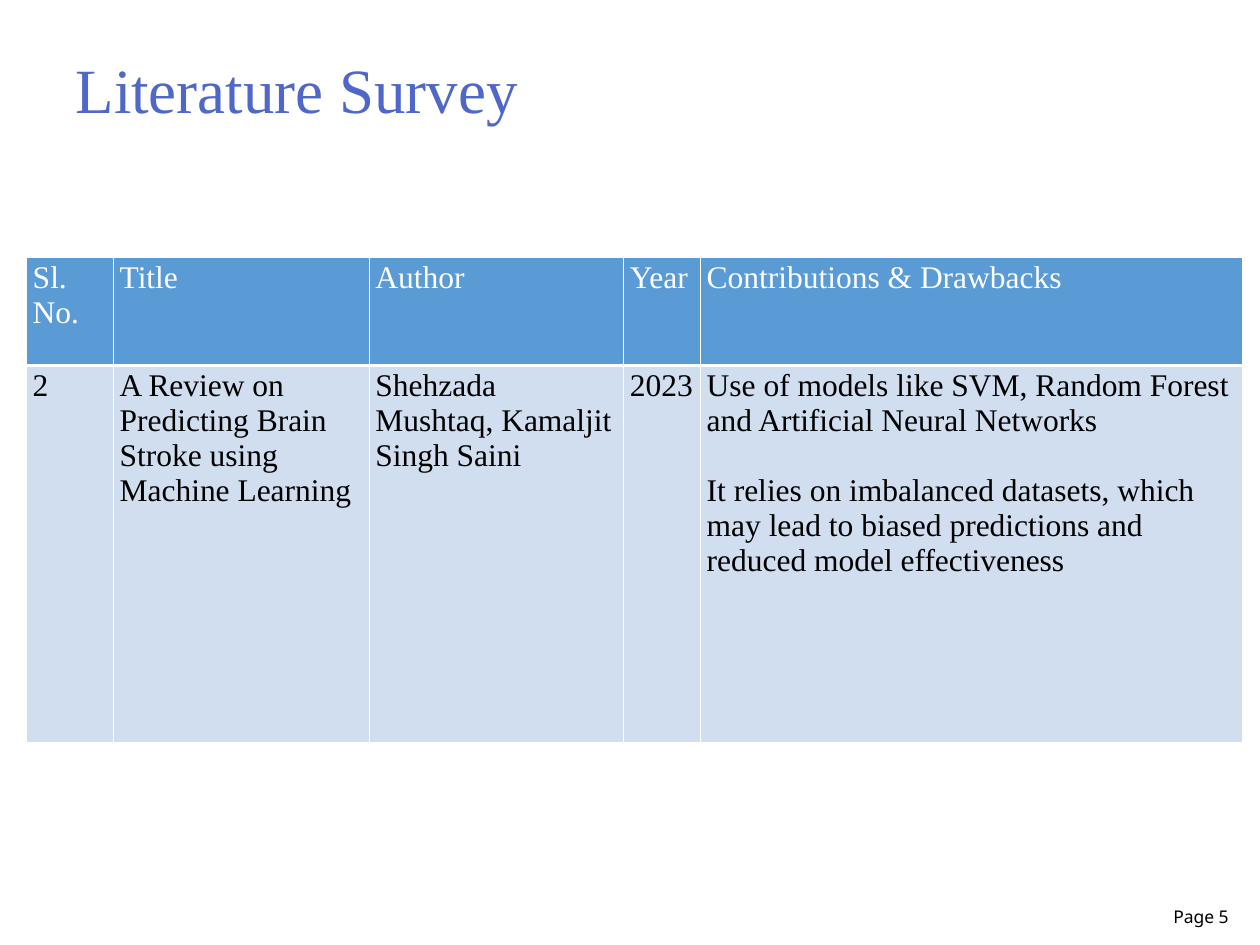
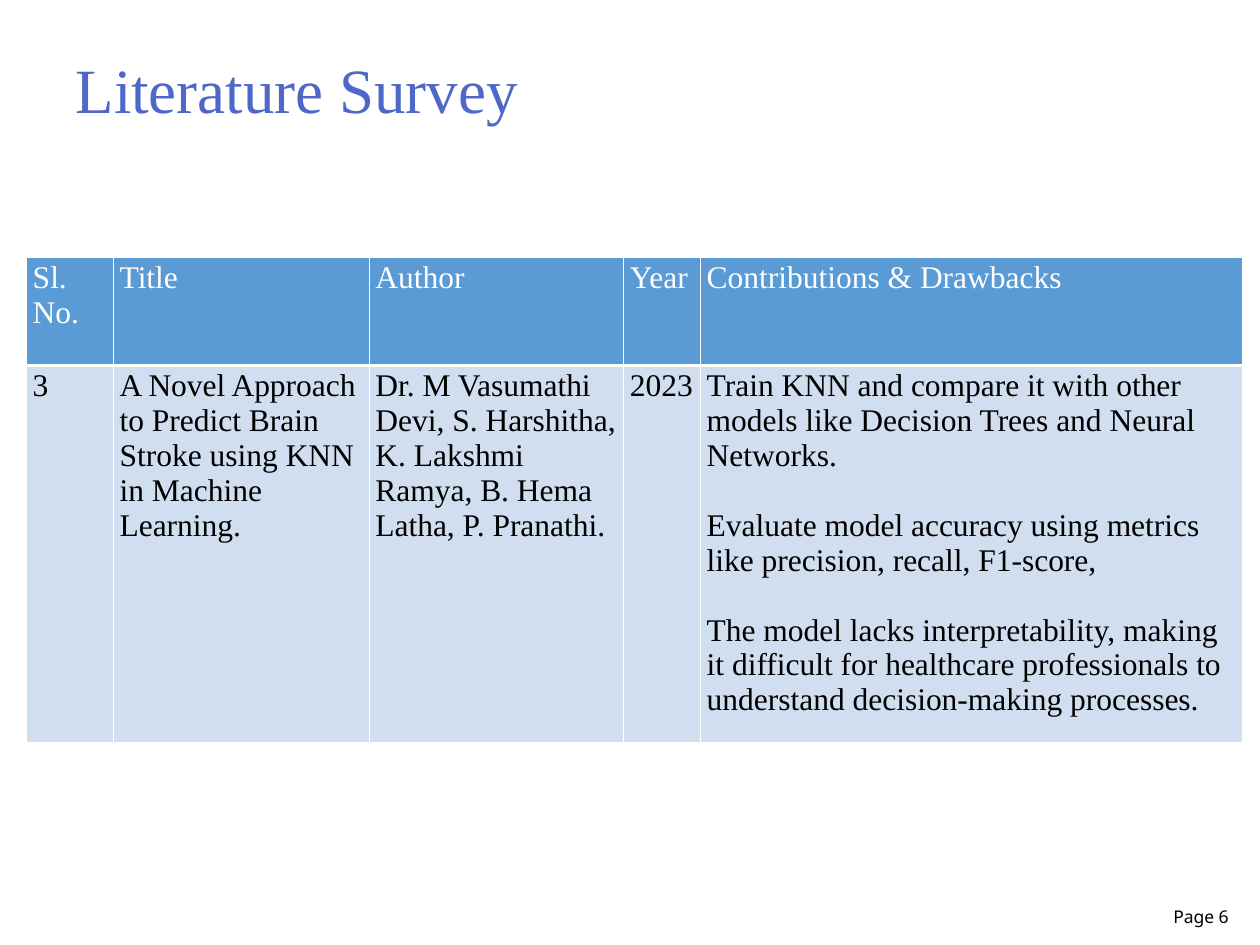
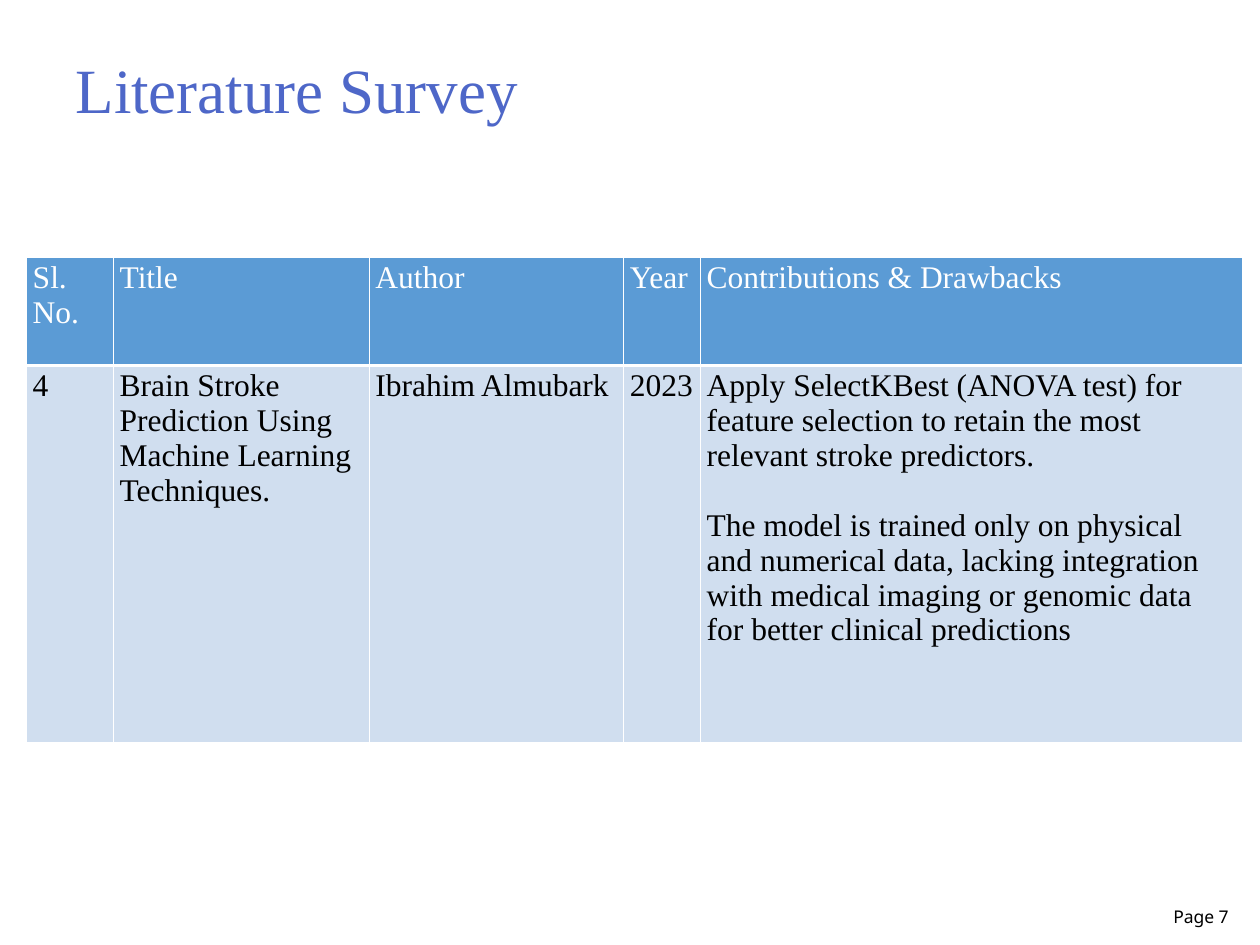
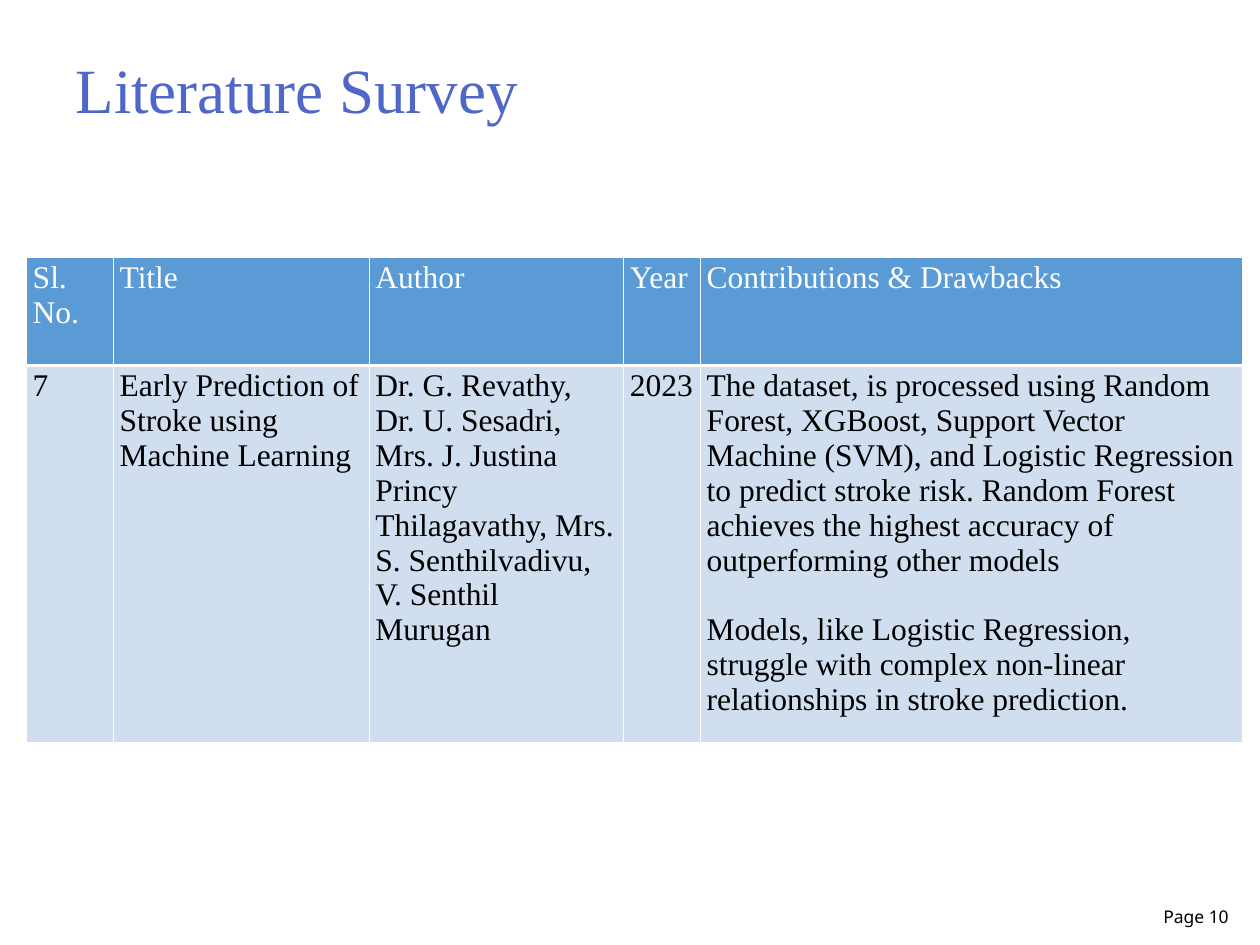
from pptx import Presentation
from pptx.dml.color import RGBColor
from pptx.enum.text import MSO_ANCHOR as ANCHOR, PP_ALIGN as ALIGN
from pptx.oxml.ns import qn
from pptx.util import Pt
from lxml.etree import SubElement

TITLE_BLUE = RGBColor(0x4E, 0x67, 0xC8)
HEADER_BLUE = RGBColor(0x5B, 0x9B, 0xD5)
ROW_BLUE = RGBColor(0xD0, 0xDE, 0xEF)
WHITE = RGBColor(0xFF, 0xFF, 0xFF)
BLACK = RGBColor(0x00, 0x00, 0x00)
SERIF = "Times New Roman"
SANS = "Noto Sans"

TITLE_BOX = (0, 16.56, 541.44, 67.68)
TABLE_BOX = (15.12, 146.88, 694.8, 277.2)
PAGE_BOX = (654.48, 504.72, 54.72, 28.8)

COL_WIDTHS = (49.68, 146.16, 145.44, 43.92, 309.6)
ROW_HEIGHTS = (61.92, 215.28)
THIN, THICK = 0.75, 2
PARA_GAP = 20
HEADERS = ("Sl. No.", "Title", "Author", "Year", "Contributions & Drawbacks")

SURVEYS = (
    (5, "2", "A Review on Predicting Brain Stroke using Machine Learning",
     "Shehzada Mushtaq, Kamaljit Singh Saini", "2023",
     ("Use of models like SVM, Random Forest and Artificial Neural Networks",
      "It relies on imbalanced datasets, which may lead to biased predictions "
      "and reduced model effectiveness")),
    (6, "3", "A Novel Approach to Predict Brain Stroke using KNN in Machine Learning.",
     "Dr. M Vasumathi Devi, S. Harshitha, K. Lakshmi Ramya, B. Hema Latha, P. Pranathi.",
     "2023",
     ("Train KNN and compare it with other models like Decision Trees and Neural Networks.",
      "Evaluate model accuracy using metrics like precision, recall, F1-score,",
      "The model lacks interpretability, making it difficult for healthcare "
      "professionals to understand decision-making processes.")),
    (7, "4", "Brain Stroke Prediction Using Machine Learning Techniques.",
     "Ibrahim Almubark", "2023",
     ("Apply SelectKBest (ANOVA test) for feature selection to retain the most "
      "relevant stroke predictors.",
      "The model is trained only on physical and numerical data, lacking integration "
      "with medical imaging or genomic data for better clinical predictions")),
    (10, "7", "Early Prediction of Stroke using Machine Learning",
     "Dr. G. Revathy, Dr. U. Sesadri, Mrs. J. Justina Princy Thilagavathy, "
     "Mrs. S. Senthilvadivu, V. Senthil Murugan", "2023",
     ("The dataset, is processed using Random Forest, XGBoost, Support Vector Machine "
      "(SVM), and Logistic Regression to predict stroke risk. Random Forest achieves "
      "the highest accuracy of outperforming other models",
      "Models, like Logistic Regression, struggle with complex non-linear relationships "
      "in stroke prediction.")),
)


def to_points(box):
    """Turn a box of numbers into point lengths."""
    return [Pt(v) for v in box]


def add_run(p, text, size, font, color):
    """Add one formatted run to a paragraph."""
    r = p.add_run()
    r.text = text
    r.font.size = Pt(size)
    r.font.name = font
    r.font.bold = False
    r.font.color.rgb = color


def set_margins(frame, left, top, right, bottom):
    """Set the insets of a text frame or a cell."""
    frame.margin_left, frame.margin_top = Pt(left), Pt(top)
    frame.margin_right, frame.margin_bottom = Pt(right), Pt(bottom)


def add_title(slide, box):
    """Place and format the title placeholder."""
    sp = slide.shapes.title
    sp.left, sp.top, sp.width, sp.height = to_points(box)
    tf = sp.text_frame
    tf.word_wrap = True
    tf.vertical_anchor = ANCHOR.MIDDLE
    set_margins(tf, 43.2, 3.6, 7.2, 3.6)
    p = tf.paragraphs[0]
    p.alignment = ALIGN.LEFT
    add_run(p, "Literature Survey", 36, SERIF, TITLE_BLUE)


def set_borders(cell, top, bottom):
    """Draw white borders around a cell."""
    tc_pr = cell._tc.get_or_add_tcPr()
    for side, width in (("L", THIN), ("R", THIN), ("T", top), ("B", bottom)):
        ln = SubElement(tc_pr, qn(f"a:ln{side}"), w=str(Pt(width)))
        fill = SubElement(ln, qn("a:solidFill"))
        SubElement(fill, qn("a:srgbClr"), val=str(WHITE))


def fill_cell(cell, paragraphs, is_header):
    """Write the paragraphs of a cell and format it."""
    set_margins(cell, 3.6, 1.8, 3.6, 1.8)
    set_borders(cell, THIN if is_header else THICK, THICK if is_header else THIN)
    cell.fill.solid()
    cell.fill.fore_color.rgb = HEADER_BLUE if is_header else ROW_BLUE
    tf = cell.text_frame
    for i, text in enumerate(paragraphs):
        p = tf.add_paragraph() if i else tf.paragraphs[0]
        if i:
            p.space_before = Pt(PARA_GAP)
        add_run(p, text, 18, SERIF, WHITE if is_header else BLACK)


def add_survey_table(slide, box, entry):
    """Add the header row and one surveyed paper."""
    rows = (HEADERS, entry)
    table = slide.shapes.add_table(len(rows), len(HEADERS), *to_points(box)).table
    table.horz_banding = False
    for col, width in zip(table.columns, COL_WIDTHS):
        col.width = Pt(width)
    for i, (row, height, values) in enumerate(zip(table.rows, ROW_HEIGHTS, rows)):
        row.height = Pt(height)
        for cell, value in zip(row.cells, values):
            paragraphs = (value,) if isinstance(value, str) else value
            fill_cell(cell, paragraphs, i == 0)


def add_page_number(slide, box, number):
    """Add the page label at the lower right."""
    tf = slide.shapes.add_textbox(*to_points(box)).text_frame
    tf.word_wrap = True
    tf.vertical_anchor = ANCHOR.BOTTOM
    set_margins(tf, 7.2, 3.6, 7.2, 3.6)
    p = tf.paragraphs[0]
    p.alignment = ALIGN.RIGHT
    add_run(p, f"Page {number}", 10, SANS, BLACK)


def add_survey_slide(prs, page, *entry):
    """Build one literature survey slide."""
    slide = prs.slides.add_slide(prs.slide_layouts[5])
    add_title(slide, TITLE_BOX)
    add_survey_table(slide, TABLE_BOX, entry)
    add_page_number(slide, PAGE_BOX, page)


def main():
    """Build and save the presentation."""
    prs = Presentation()
    prs.slide_width, prs.slide_height = Pt(720), Pt(540)
    for survey in SURVEYS:
        add_survey_slide(prs, *survey)
    prs.save("out.pptx")


if __name__ == "__main__":
    main()
